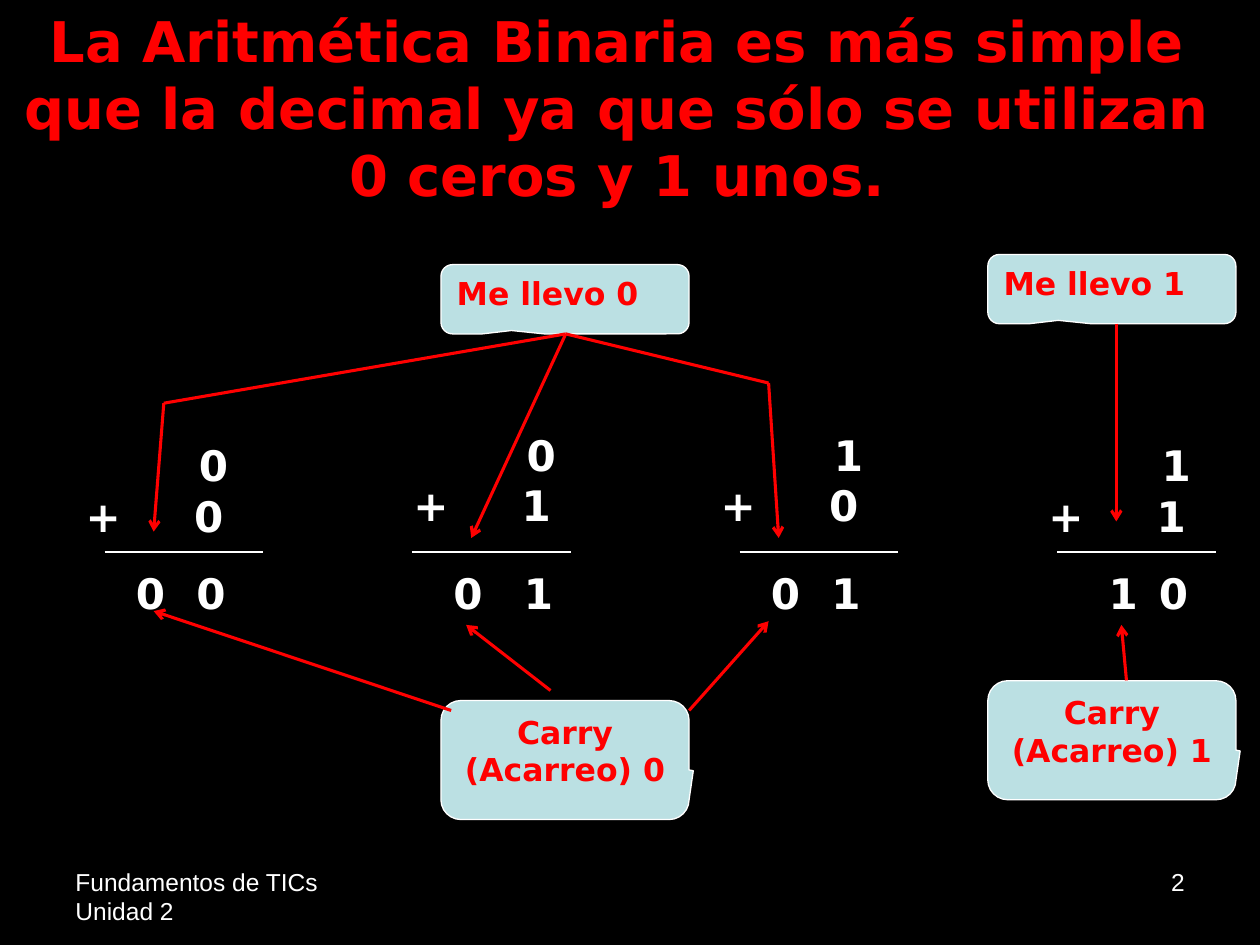
import pptx
import pptx.util
import pptx.dml.color
import pptx.enum.shapes
import pptx.enum.text
import pptx.oxml
import pptx.oxml.ns

Pt = pptx.util.Pt
RGBColor = pptx.dml.color.RGBColor
Align = pptx.enum.text.PP_ALIGN

BLACK = RGBColor(0x00, 0x00, 0x00)
WHITE = RGBColor(0xFF, 0xFF, 0xFF)
RED = RGBColor(0xFF, 0x00, 0x00)
PALE_BLUE = RGBColor(0xBB, 0xE0, 0xE3)

ANCHOR_TOP = pptx.enum.text.MSO_ANCHOR.TOP
RESULT_TOP = 321
BAR_TOP, BAR_WIDTH = 315.4, 90.7
CALLOUT_WIDTH = 141.8

# operands, result, operand box left and top, bar left, result digit lefts
SUMS = [
    ("00", "00", 25.2, 247.7, 59.8, (70.6, 105.1)),
    ("01", "01", 212.4, 241.9, 235.4, (252, 292.3)),
    ("10", "01", 388.1, 241.9, 422.6, (433.4, 468)),
    ("11", "10", 575.3, 247.7, 604.1, (626.4, 655.2)),
]

# text, left, top, height, callout tip, alignment
CALLOUTS = [
    ("Me llevo 0", 252, 151.2, 39.6, (-0.216, 0.452), Align.LEFT),
    ("Me llevo 1", 564.5, 145.4, 39.6, (-0.216, 0.452), Align.LEFT),
    ("Carry (Acarreo) 0", 252, 400.3, 68, (0.517, 0.09), Align.CENTER),
    ("Carry (Acarreo) 1", 564.5, 389, 68, (0.517, 0.09), Align.CENTER),
]

# each route ends in an arrowhead
ROUTES = [
    [(323.3, 190.8), (93.6, 230.4), (87.8, 303.8)],
    [(323.3, 190.8), (269.3, 307.4)],
    [(323.3, 190.8), (439.2, 218.9), (445, 307.4)],
    [(637.9, 185), (637.9, 298)],
    [(257.8, 406), (87.8, 349.2)],
    [(314.6, 394.6), (266.4, 357.1)],
    [(393.8, 406), (439.2, 355)],
    [(643.7, 388.8), (640.8, 357.1)],
]


def write(shape, lines, size, color, align=Align.LEFT, font="DejaVu Sans", bold=True):
    frame = shape.text_frame
    frame.word_wrap = True
    frame.vertical_anchor = ANCHOR_TOP
    frame.text = "\n".join(lines)
    for para in frame.paragraphs:
        para.alignment = align
        for span in para.runs:
            span.font.name = font
            span.font.size = Pt(size)
            span.font.bold = bold
            span.font.color.rgb = color


def add_text(page, box, lines, size, color, **style):
    shape = page.shapes.add_textbox(*map(Pt, box))
    write(shape, lines, size, color, **style)
    return shape


def set_tabs(para, stops):
    """Put left tab stops, in points, on a paragraph."""
    tabs = pptx.oxml.parse_xml(f"<a:tabLst {pptx.oxml.ns.nsdecls('a')}/>")
    for stop in stops:
        tab = tabs.makeelement(pptx.oxml.ns.qn("a:tab"), {"pos": str(int(Pt(stop))), "algn": "l"})
        tabs.append(tab)
    para._p.get_or_add_pPr().append(tabs)


def add_line(page, start, end, color, width, arrow=False):
    line = page.shapes.add_connector(
        pptx.enum.shapes.MSO_CONNECTOR.STRAIGHT, *map(Pt, (*start, *end)))
    line.line.color.rgb = color
    line.line.width = Pt(width)
    namespace = pptx.oxml.ns.nsdecls("a")
    if arrow:
        line.line._get_or_add_ln().append(
            pptx.oxml.parse_xml(f'<a:tailEnd {namespace} type="arrow"/>'))
    line._element.spPr.append(pptx.oxml.parse_xml(f"<a:effectLst {namespace}/>"))


def add_sum(page, operands, result, left, top, bar_left, digit_lefts):
    first, second = operands
    stack = add_text(page, (left, top, 113, 65.5), [f"\t{first}", f"\t+\t{second}"], 24, WHITE)
    for para, stops in zip(stack.text_frame.paragraphs, [(81.4,), (16.7, 78.6)]):
        set_tabs(para, stops)
    add_line(page, (bar_left, BAR_TOP), (bar_left + BAR_WIDTH, BAR_TOP), WHITE, 0.75)
    for digit, digit_left in zip(result, digit_lefts):
        add_text(page, (digit_left, RESULT_TOP, 28, 36.7), [digit], 24, WHITE)


def add_callout(page, text, left, top, height, tip, align):
    shape = page.shapes.add_shape(
        pptx.enum.shapes.MSO_SHAPE.ROUNDED_RECTANGULAR_CALLOUT,
        *map(Pt, (left, top, CALLOUT_WIDTH, height)))
    for index, value in enumerate((*tip, 0.167)):
        shape.adjustments[index] = value
    shape.shadow.inherit = False
    shape.fill.solid()
    shape.fill.fore_color.rgb = PALE_BLUE
    shape.line.color.rgb = WHITE
    shape.line.width = Pt(0.75)
    write(shape, [text], 18, RED, align)


def add_route(page, points):
    for index in range(1, len(points)):
        add_line(page, points[index - 1], points[index], RED, 1.75,
                 arrow=index == len(points) - 1)


def add_footer(page, top, height):
    style = {"font": "Arial", "bold": False}
    add_text(page, (36, top, 168, height), ["Fundamentos de TICs Unidad 2"], 14, WHITE, **style)
    add_text(page, (516, top, 168, height), ["2"], 14, WHITE, align=Align.RIGHT, **style)


def main():
    deck = pptx.Presentation()
    deck.slide_width, deck.slide_height = Pt(720), Pt(540)
    page = deck.slides.add_slide(deck.slide_layouts[6])
    page.background.fill.solid()
    page.background.fill.fore_color.rgb = BLACK

    title = ("La Aritmética Binaria es más simple que la decimal "
             "ya que sólo se utilizan 0 ceros y 1 unos.")
    add_text(page, (0, 0, 705.6, 123.8), [title], 32, RED, align=Align.CENTER)
    for entry in SUMS:
        add_sum(page, *entry)
    for entry in CALLOUTS:
        add_callout(page, *entry)
    for points in ROUTES:
        add_route(page, points)
    add_footer(page, 491.8, 37.4)
    deck.save("out.pptx")


if __name__ == "__main__":
    main()
